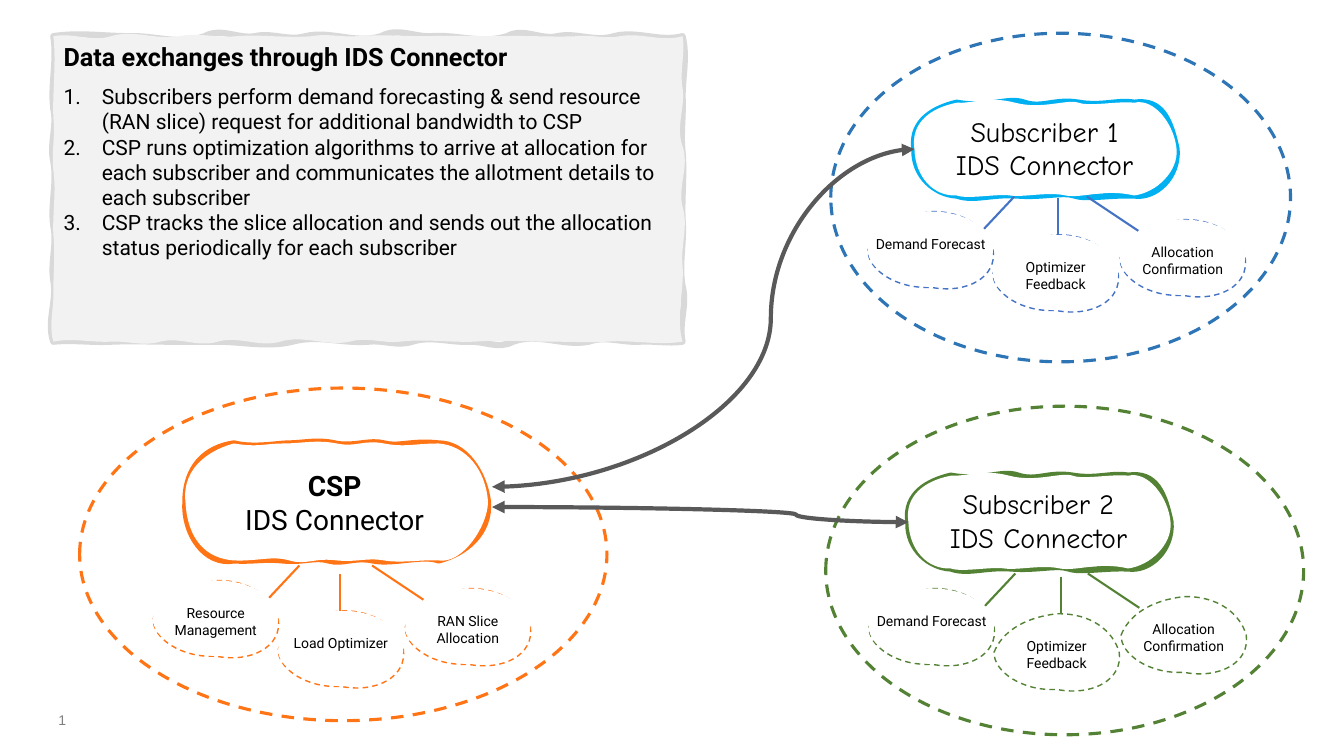
import pptx
import pptx.util
import pptx.dml.color
import pptx.enum.dml
import pptx.enum.shapes
import pptx.enum.text
import pptx.oxml.ns
from lxml import etree

Inches = pptx.util.Inches
qn = pptx.oxml.ns.qn
LEFT = pptx.enum.text.PP_ALIGN.LEFT
CENTER = pptx.enum.text.PP_ALIGN.CENTER
TOP = pptx.enum.text.MSO_ANCHOR.TOP
MIDDLE = pptx.enum.text.MSO_ANCHOR.MIDDLE
CONNECTOR = pptx.enum.shapes.MSO_CONNECTOR


def trace_sides(w, h, top, right, bottom, left):
    """Turn sides of (stop, bend, bend) into Bézier rows around a w by h sheet."""
    rows = []
    for stops, across, fixed, last in ((top, True, 0, 0), (right, False, w, 0),
                                       (bottom, True, h, w), (left, False, 0, h)):
        for stop, bend1, bend2 in stops:
            step = (stop - last) / 3
            pts = [(last + step, fixed + bend1), (stop - step, fixed + bend2), (stop, fixed)]
            rows.append([n for a, b in pts for n in ((a, b) if across else (b, a))])
            last = stop
    return (0, 0), rows


NOTE_EDGE = trace_sides(
    624, 303,
    [(75, -4, 0), (150, -1, 9), (200, -9, 3), (250, -4, 5), (325, -6, 8), (375, -9, 1),
     (450, -2, 8), (500, -9, 4), (556, -4, 6), (624, -6, 6)],
    [(60, 5, 0), (115, 1, -2), (182, 2, -1), (248, 2, -4), (303, 5, -4)],
    [(581, 2, -1), (531, 1, -6), (456, 5, -9), (412, 8, -1), (356, 1, -6), (312, 5, -2),
     (237, 2, -7), (163, 6, 0), (119, 0, 0), (57, 0, -1), (0, 1, -2)],
    [(242, -7, 4), (188, -3, 4), (124, -3, 4), (72, -4, 4), (0, -3, 4)])
NOTE_FACE = trace_sides(
    624, 303,
    [(57, -4, 6), (125, -7, 4), (181, -4, 2), (256, -2, 2), (300, -3, 1), (369, -2, 0),
     (443, -1, 0), (518, -1, 1), (562, -2, 3), (624, -4, 6)],
    [(51, 3, -3), (109, 3, -7), (169, 7, -5), (227, 6, -2), (303, 2, -7)],
    [(549, 4, -2), (493, 1, 0), (418, 0, -2), (344, 1, -3), (294, 2, -5), (225, 5, -7),
     (163, 6, -6), (106, 6, -5), (57, 5, -1), (0, 1, -4)],
    [(251, -5, 1), (197, 0, 2), (133, -1, 3), (81, -2, 2), (0, -1, 3)])
NOTE = NOTE_EDGE, NOTE_FACE
SUBSCRIBER_PILL = (
    ((218, 0), [
        (202, -3, 186, 4, 163, 0), (139, -4, 127, 6, 109, 0), (92, -6, 75, 6, 42, 0),
        (21, 5, -4, 17, 0, 46), (-1, 73, 21, 91, 42, 92), (59, 98, 77, 90, 102, 92),
        (127, 94, 147, 88, 159, 92), (171, 96, 194, 91, 218, 92),
        (239, 95, 262, 74, 260, 46), (254, 18, 246, -4, 218, 0)]),
    ((218, 0), [
        (203, -2, 174, 4, 163, 0), (151, -4, 127, 7, 100, 0), (74, -7, 56, 1, 42, 0),
        (16, 5, -4, 20, 0, 46), (1, 74, 19, 93, 42, 92), (53, 96, 82, 90, 95, 92),
        (108, 94, 133, 88, 150, 92), (167, 95, 188, 85, 218, 92),
        (240, 89, 262, 68, 260, 46), (258, 22, 238, -5, 218, 0)]))
CSP_PILL = (
    ((251, 0), [
        (225, -3, 210, 4, 197, 0), (183, -4, 166, 4, 148, 0), (130, -4, 116, 0, 103, 0),
        (91, 0, 68, 5, 48, 0), (20, 4, 0, 23, 0, 58), (-2, 89, 19, 121, 48, 116),
        (70, 117, 76, 114, 97, 116), (118, 118, 128, 112, 142, 116),
        (156, 120, 168, 112, 186, 116), (205, 120, 237, 110, 251, 116),
        (278, 109, 302, 89, 300, 58), (296, 28, 277, 0, 251, 0)]),
    ((251, 0), [
        (227, 0, 218, 4, 197, 0), (176, -4, 170, 4, 150, 0), (130, -4, 115, 0, 97, 0),
        (79, 0, 72, 4, 48, 0), (29, 5, -4, 21, 0, 58), (2, 95, 20, 114, 48, 116),
        (72, 117, 86, 111, 103, 116), (120, 121, 128, 113, 150, 116),
        (171, 118, 179, 113, 197, 116), (214, 119, 235, 115, 251, 116),
        (275, 120, 300, 81, 300, 58), (298, 26, 278, 2, 251, 0)]))
OVAL = (
    ((0, 38), [(7, 20, 27, 4, 62, 0), (96, -1, 118, 17, 124, 38),
               (128, 65, 98, 82, 62, 75), (28, 77, -1, 57, 0, 38)]),
    ((0, 38), [(-1, 18, 24, -4, 62, 0), (96, -1, 125, 18, 124, 38),
               (125, 51, 94, 71, 62, 75), (31, 72, -1, 58, 0, 38)]))


def rgb(color):
    """Make a colour from a hex string."""
    return pptx.dml.color.RGBColor.from_string(color)


def paint(sp, fill=None, line=None, width=1, dashed=False):
    """Set fill and line of a shape and drop its shadow."""
    sp.shadow.inherit = False
    if fill:
        sp.fill.solid()
        sp.fill.fore_color.rgb = rgb(fill)
    else:
        sp.fill.background()
    if line:
        sp.line.color.rgb = rgb(line)
        sp.line.width = pptx.util.Pt(width)
        if dashed:
            sp.line.dash_style = pptx.enum.dml.MSO_LINE.DASH
    else:
        sp.line.fill.background()


def write(sp, text, size, font="Roboto", color="000000", align=CENTER, anchor=MIDDLE, wrap=True):
    """Fill a shape with evenly formatted paragraphs."""
    tf = sp.text_frame
    tf.text = text
    tf.word_wrap = wrap
    tf.auto_size = pptx.enum.text.MSO_AUTO_SIZE.NONE
    tf.vertical_anchor = anchor
    for p in tf.paragraphs:
        p.alignment = align
        p.space_before = pptx.util.Pt(0)
        for r in p.runs:
            r.font.size = pptx.util.Pt(size)
            r.font.name = font
            r.font.color.rgb = rgb(color)
    return tf


def add_outline(s, x, y, outline):
    """Build a closed curved outline, given in hundredths of an inch, at x, y."""
    start, rows = outline
    pts = [start] + [row[i:i + 2] for row in rows for i in (0, 2, 4)]
    pts = [(Inches(x + a / 100), Inches(y + b / 100)) for a, b in pts]
    builder = s.shapes.build_freeform(*pts[0])
    builder.add_line_segments(pts[1:], close=True)
    sp = builder.convert_to_shape()
    steps = list(sp.element.iter(qn("a:lnTo")))
    for i in range(0, len(steps), 3):
        curve = etree.Element(qn("a:cubicBezTo"))
        steps[i].addprevious(curve)
        for step in steps[i:i + 3]:
            curve.append(step[0])
            step.getparent().remove(step)
    return sp


def add_sketch(s, x, y, sketch, fill, line, width, dashed=False):
    """Draw a sketched edge and lay its face over it."""
    edge, face = sketch
    sp = add_outline(s, x, y, edge)
    paint(sp, None, line, width, dashed)
    if fill:
        sp = add_outline(s, x, y, face)
        paint(sp, fill)
    return sp


def add_link(s, x1, y1, x2, y2, color, width, bend=None):
    """Draw a straight spoke, or a curved link with two arrowheads."""
    kind = CONNECTOR.CURVE if bend else CONNECTOR.STRAIGHT
    c = s.shapes.add_connector(kind, Inches(x1), Inches(y1), Inches(x2), Inches(y2))
    c.line.color.rgb = rgb(color)
    c.line.width = pptx.util.Pt(width)
    spPr = c.element.spPr
    etree.SubElement(spPr, qn("a:effectLst"))
    if bend:
        for end in ("a:headEnd", "a:tailEnd"):
            etree.SubElement(spPr.find(qn("a:ln")), qn(end), type="triangle")
        guides = spPr.find(qn("a:prstGeom")).find(qn("a:avLst"))
        etree.SubElement(guides, qn("a:gd"), name="adj1", fmla=f"val {round(bend * 100000)}")


def add_note(s, x, y, w, h, title, steps):
    """Place the grey note with its title and numbered steps."""
    sp = add_sketch(s, x, y, NOTE, "F2F2F2", "D9D9D9", 4.5)
    heading, body = s.shapes.title, s.placeholders[1]
    sp.element.addnext(heading.element)
    heading.element.addnext(body.element)
    for part, dy, height in ((heading, 0, 0.42), (body, 0.42, h - 0.42)):
        part.left, part.top, part.width, part.height = map(Inches, (x, y + dy, w, height))
    tf = write(heading, title, 18, align=LEFT, anchor=TOP)
    tf.paragraphs[0].runs[0].font.bold = True
    tf = write(body, "\n".join(steps), 15, align=LEFT, anchor=TOP)
    for p in tf.paragraphs:
        pPr = p._p.get_or_add_pPr()
        pPr.set("marL", str(Inches(0.38)))
        pPr.set("indent", str(-Inches(0.38)))
        etree.SubElement(pPr, qn("a:buFont"), typeface="+mj-lt")
        etree.SubElement(pPr, qn("a:buAutoNum"), type="arabicPeriod")


def add_hub(s, x, y, w, h, name, labels, pill, pill_at, ovals_at, drop, spoke_x, colors,
            font="Comic Neue", bold=False, filled=3):
    """Place a dashed ellipse holding a connector pill and three spoked ovals."""
    ring, pill_color, oval_color = colors
    sp = s.shapes.add_shape(pptx.enum.shapes.MSO_SHAPE.OVAL, *map(Inches, (x, y, w, h)))
    paint(sp, None, ring, 2.25, True)
    sp = add_sketch(s, x + pill_at[0], y + pill_at[1], pill, "FFFFFF", pill_color, 4.5)
    tf = write(sp, f"{name}\nIDS Connector", 20, font)
    tf.paragraphs[0].runs[0].font.bold = bold
    ox, oy = x + ovals_at[0], y + ovals_at[1]
    for i, (dx, dy) in enumerate([(0, 0), (2.5, 0.08), (1.24, drop)]):
        fill = "FFFFFF" if i < filled else None
        add_sketch(s, ox + dx, oy + dy, OVAL, fill, oval_color, 1, True)
        box = map(Inches, (ox + dx - 0.06, oy + dy + 0.19, 1.36, 0.45))
        write(s.shapes.add_textbox(*box), labels[i], 10, anchor=TOP)
    for x1, y1, x2, y2 in ((1.45, -0.15, 1.15, 0.17), (spoke_x, drop - 0.37, spoke_x, drop),
                           (2.17, -0.15, 2.68, 0.19)):
        add_link(s, ox + x1, oy + y1, ox + x2, oy + y2, oval_color, 1.5)


def add_number(s, x, y, w, h):
    """Place the page number."""
    sp = s.shapes.add_textbox(*map(Inches, (x, y, w, h)))
    tf = write(sp, "1", 10, "Arial", "808080", LEFT, TOP, wrap=False)
    tf.margin_left = tf.margin_right = 0


def main():
    """Build the slide and save it."""
    prs = pptx.Presentation()
    prs.slide_width, prs.slide_height = Inches(13.33), Inches(7.5)
    s = prs.slides.add_slide(prs.slide_layouts[1])
    add_note(s, 0.53, 0.36, 6.24, 3.03, "Data exchanges through IDS Connector", [
        "Subscribers perform demand forecasting & send resource (RAN slice) request for additional bandwidth to CSP",
        "CSP runs optimization algorithms to arrive at allocation for each subscriber and communicates the allotment details to each subscriber",
        "CSP tracks the slice allocation and sends out the allocation status periodically for each subscriber"])
    requests = "Demand Forecast", "Allocation Confirmation", "Optimizer Feedback"
    add_hub(s, 0.79, 3.85, 5.23, 3.3, "CSP",
            ("Resource Management", "RAN Slice Allocation", "Load Optimizer"),
            CSP_PILL, (1.05, 0.55), (0.73, 1.91), 0.3, 1.85, ["FF7415"] * 3, "Roboto", True)
    add_hub(s, 8.24, 0.33, 4.56, 3.26, "Subscriber 1", requests, SUBSCRIBER_PILL,
            (0.83, 0.69), (0.37, 1.77), 0.23, 1.88, ("2E75B6", "00B0F0", "4472C4"))
    add_hub(s, 8.19, 4.03, 4.74, 3.26, "Subscriber 2", requests, SUBSCRIBER_PILL,
            (0.82, 0.69), (0.43, 1.81), 0.25, 1.9, ["548235"] * 3, filled=1)
    add_link(s, 4.88, 4.83, 9.07, 1.48, "595959", 3, 0.66)
    add_link(s, 4.88, 5.03, 9.01, 5.18, "595959", 3, 0.73)
    add_number(s, 0.58, 7.01, 0.73, 0.2)
    prs.save("out.pptx")


if __name__ == "__main__":
    main()
